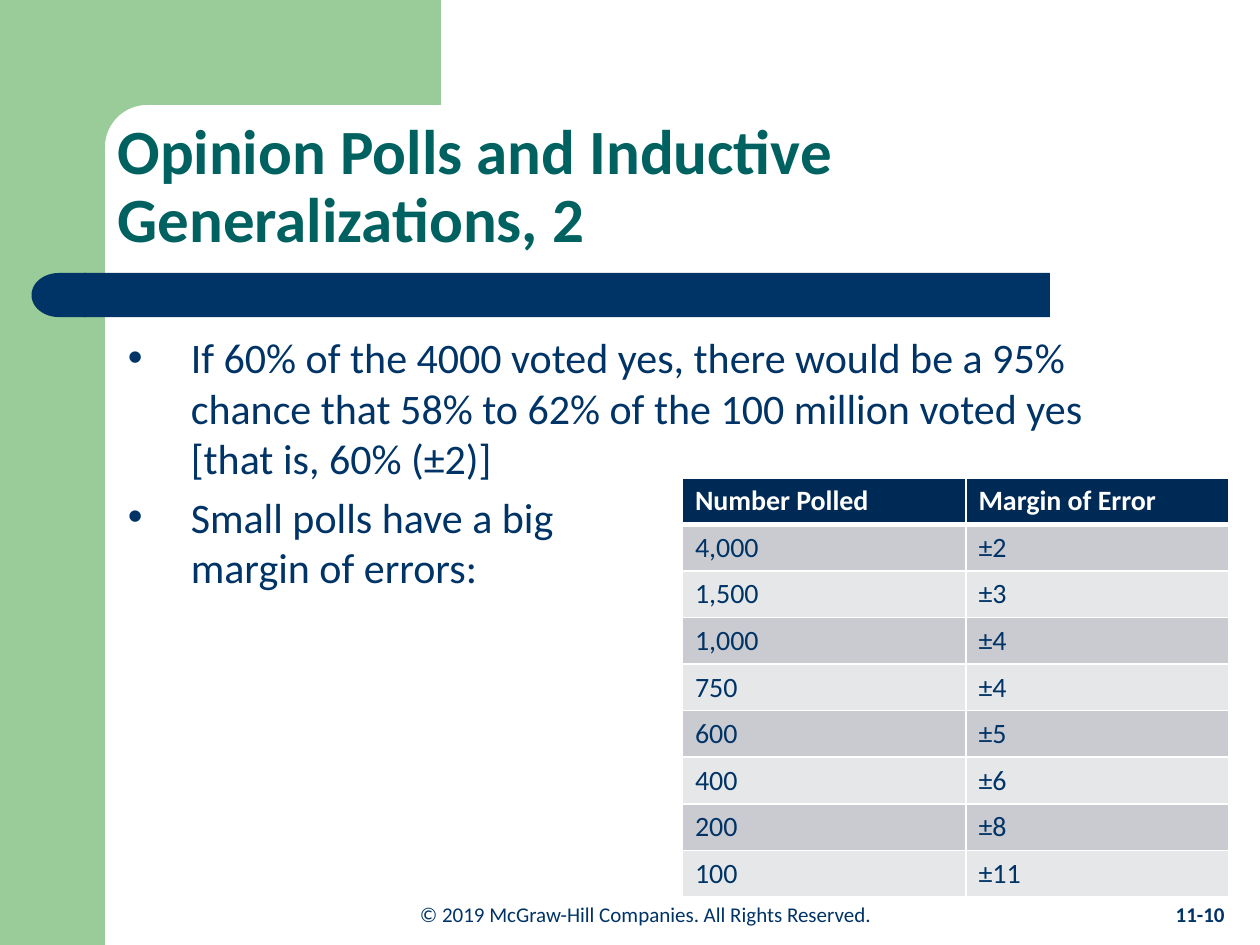
from math import cos, pi, sin

from lxml.etree import SubElement
from pptx import Presentation
from pptx.dml.color import RGBColor
from pptx.enum.shapes import MSO_SHAPE
from pptx.enum.text import MSO_ANCHOR, PP_ALIGN
from pptx.oxml.ns import qn
from pptx.util import Inches, Pt

COLUMNS, ROWS = 120, 90
FONT = "Calibri"
GREEN, NAVY, TEAL, WHITE = "99CC99", "003366", "006161", "FFFFFF"
HEADER_FILL, BAND_FILLS = "002A56", ("CACBD0", "E6E7E9")
POLL_ROWS = [
    ("Number Polled", "Margin of Error"),
    ("4,000", "±2"),
    ("1,500", "±3"),
    ("1,000", "±4"),
    ("750", "±4"),
    ("600", "±5"),
    ("400", "±6"),
    ("200", "±8"),
    ("100", "±11"),
]
BULLETS = [
    ["If 60% of the 4000 voted yes, there would be a 95% chance that "
     "58% to 62% of the 100 million voted yes [that is, 60% (±2)]"],
    ["Small polls have a big", "margin of errors:"],
]


def grid(*steps):
    """Turn grid steps of a twelfth of an inch into lengths."""
    return [Inches(step / 12) for step in steps]


def paint(fill, color):
    """Give a fill one solid colour from a hex string."""
    fill.solid()
    fill.fore_color.rgb = RGBColor.from_string(color)


def finish(shape, color):
    """Fill a shape flat, without line or shadow."""
    paint(shape.fill, color)
    shape.line.fill.background()
    shape.shadow.inherit = False


def add_block(slide, preset, place, color):
    """Add a flat preset shape at a grid place."""
    block = slide.shapes.add_shape(preset, *grid(*place))
    finish(block, color)
    return block


def add_corner(slide):
    """Add the green top band with its concave rounded corner."""
    edge, radius, right, left, bottom = 10, 4, 42, 6, 15.4
    center = edge + radius
    angles = [pi / 2 * step / 12 for step in range(13)]
    curve = [(center - radius * sin(a), center - radius * cos(a)) for a in angles]
    outline = [(right, edge), *curve, (edge, bottom), (left, bottom), (left, 0)]
    builder = slide.shapes.build_freeform(right * 100, 0, scale=Inches(1 / 1200))
    builder.add_line_segments([(round(x * 100), round(y * 100)) for x, y in outline])
    finish(builder.convert_to_shape(), GREEN)


def add_run(paragraph, words, size, color, bold=False):
    """Add one styled run to a paragraph."""
    run = paragraph.add_run()
    run.text = words
    run.font.name, run.font.size, run.font.bold = FONT, Pt(size), bold
    run.font.color.rgb = RGBColor.from_string(color)


def add_frame(slide, place, anchor=MSO_ANCHOR.TOP):
    """Add a wrapping text box and return its text frame."""
    frame = slide.shapes.add_textbox(*grid(*place)).text_frame
    frame.word_wrap = True
    frame.vertical_anchor = anchor
    return frame


def add_title(slide):
    """Add the slide title above the navy bar."""
    heading = add_frame(slide, (10, 10, 104, 15), MSO_ANCHOR.BOTTOM).paragraphs[0]
    heading.line_spacing = 0.9
    add_run(heading, "Opinion Polls and Inductive Generalizations, 2", 36, TEAL, True)


def add_footer(slide, place, words, bold=False):
    """Add a small centred line at the foot of the slide."""
    footer = add_frame(slide, place).paragraphs[0]
    footer.alignment = PP_ALIGN.CENTER
    add_run(footer, words, 12, NAVY, bold)


def add_bullets(slide):
    """Add the bulleted body text."""
    body = add_frame(slide, (11, 31, 101, 48.8))
    for index, lines in enumerate(BULLETS):
        point = body.add_paragraph() if index else body.paragraphs[0]
        properties = point._p.get_or_add_pPr()
        properties.set("marL", str(Inches(0.5)))
        properties.set("indent", str(-Inches(0.5)))
        bullet_color = SubElement(properties, qn("a:buClr"))
        SubElement(bullet_color, qn("a:srgbClr"), val=NAVY)
        SubElement(properties, qn("a:buFont"), typeface="Arial")
        SubElement(properties, qn("a:buChar"), char="•")
        if index:
            point.space_before = Pt(4.8)
        for number, line in enumerate(lines):
            if number:
                point.add_line_break()
            add_run(point, line, 24, NAVY)


def add_borders(cell, bottom):
    """Draw white borders round a cell, the bottom one in its own width."""
    properties = cell._tc.get_or_add_tcPr()
    widths = {"a:lnL": 1, "a:lnR": 1, "a:lnT": 1, "a:lnB": bottom}
    for position, (side, width) in enumerate(widths.items()):
        border = SubElement(properties, qn(side), w=str(Pt(width)))
        SubElement(SubElement(border, qn("a:solidFill")), qn("a:srgbClr"), val=WHITE)
        properties.insert(position, border)


def add_poll_table(slide):
    """Add the table of poll sizes and margins of error."""
    place = grid(65, 45.5, 52, 40)
    polls = slide.shapes.add_table(len(POLL_ROWS), 2, *place).table
    for column, width in zip(polls.columns, grid(27, 25)):
        column.width = width
    for index, values in enumerate(POLL_ROWS):
        header = index == 0
        polls.rows[index].height = Inches(0.37)
        for cell, words in zip(polls.rows[index].cells, values):
            paint(cell.fill, HEADER_FILL if header else BAND_FILLS[(index - 1) % 2])
            add_borders(cell, 3 if header else 1)
            add_run(cell.text_frame.paragraphs[0], words, 16,
                    WHITE if header else NAVY, header)


def main():
    """Build and save the slide."""
    deck = Presentation()
    deck.slide_width, deck.slide_height = grid(COLUMNS, ROWS)
    slide = deck.slides.add_slide(deck.slide_layouts[6])
    add_block(slide, MSO_SHAPE.RECTANGLE, (0, 0, 10, ROWS), GREEN)
    add_corner(slide)
    bar = add_block(slide, MSO_SHAPE.ROUNDED_RECTANGLE, (8, 26, 92, 4.2), NAVY)
    bar.adjustments[0] = 0
    cap = add_block(slide, MSO_SHAPE.FLOWCHART_DELAY, (3, 26, 5.2, 4.2), NAVY)
    cap._element.spPr.get_or_add_xfrm().set("flipH", "1")
    add_footer(slide, (11, 85.3, 101, 3.6),
               "© 2019 McGraw-Hill Companies. All Rights Reserved.")
    add_footer(slide, (109.3, 85.3, 10, 3.6), "11-10", True)
    add_title(slide)
    add_bullets(slide)
    add_poll_table(slide)
    deck.save("out.pptx")


if __name__ == "__main__":
    main()
